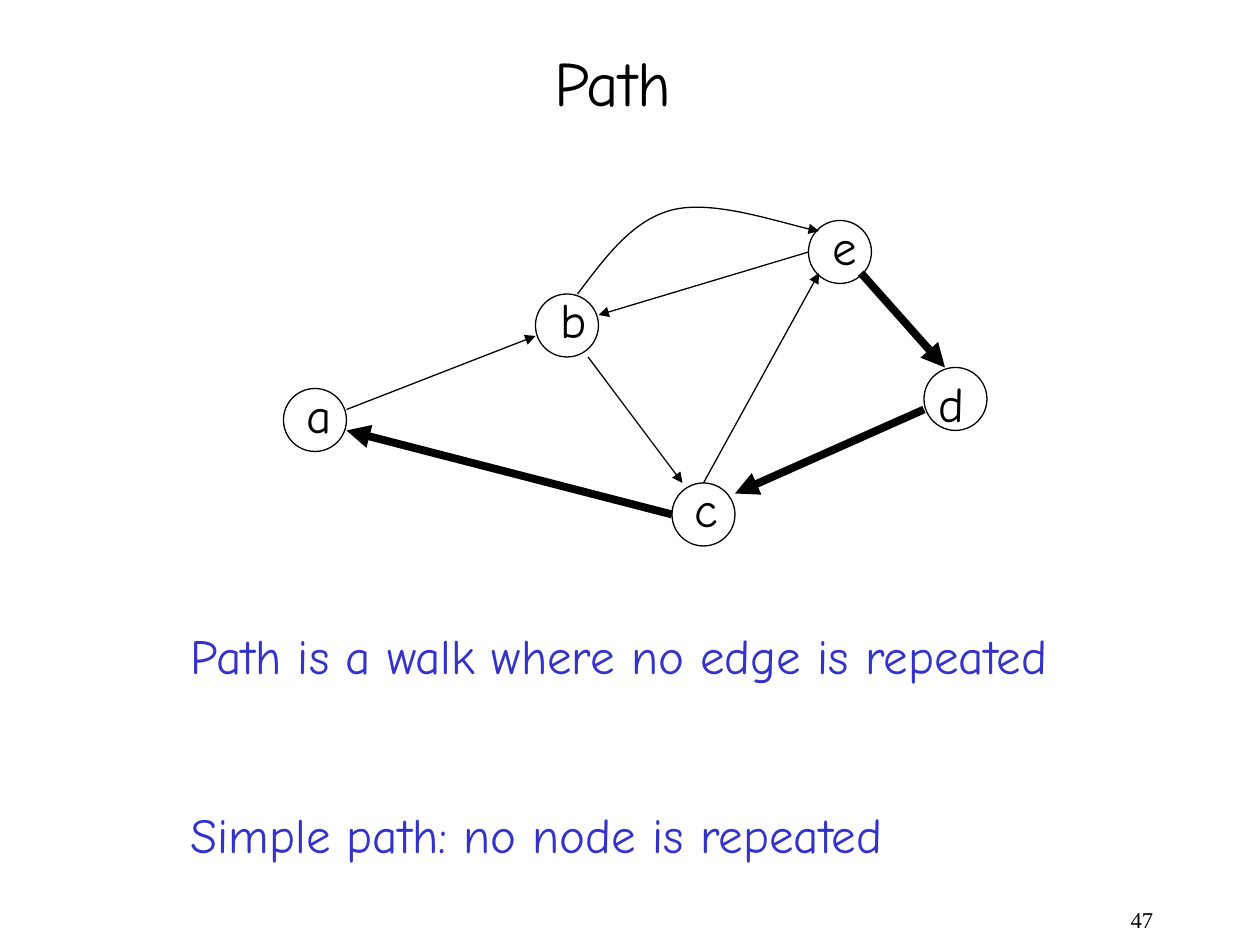
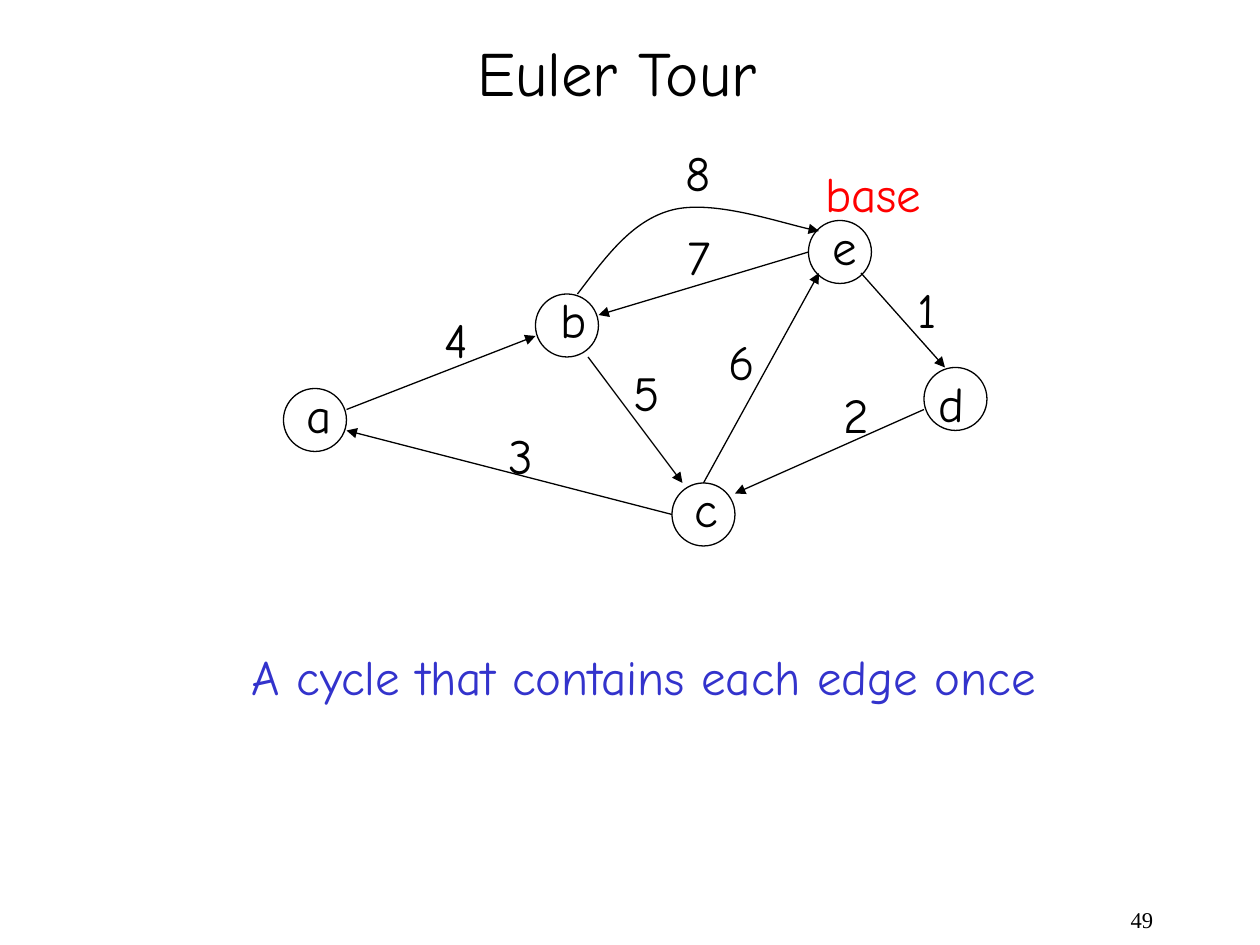
from pptx import Presentation
from pptx.dml.color import RGBColor as RGB
from pptx.enum.shapes import MSO_CONNECTOR as Link, MSO_SHAPE as Form
from pptx.enum.text import MSO_AUTO_SIZE as Fit, PP_ALIGN as Align
from pptx.oxml.ns import qn
from pptx.util import Pt
from lxml.etree import SubElement as add_node

INK = {"black": "000000", "blue": "3333CC", "red": "FF0000"}
HAND, SERIF = "Comic Neue", "Times New Roman"
THIN, THICK = 0.75, 4.5
SIZE = 36  # node diameter

# Node: left, top of the circle, then left, top, width of its letter
NODES = {
    "a": (162, 222, 168, 216, 28.8),
    "b": (306, 168, 313.2, 162, 29.5),
    "c": (384, 276, 390, 270, 27.4),
    "d": (528, 210, 529.2, 210, 28.8),
    "e": (462, 126, 468.7, 120, 28.1),
}
# Straight edges: start x, y, end x, y
EDGES = {
    "ab": (198, 234, 306, 192),
    "bc": (336, 204, 390, 276),
    "ce": (402, 276, 468, 156),
    "dc": (528, 234, 420, 282),
    "ca": (384, 294, 198, 246),
    "ed": (492, 156, 540, 210),
    "eb": (462, 144, 342, 180),
}
# Curved edge from b to e: start, then three points per curve
ARC = [(330, 168), (346, 147), (361, 126), (384, 120),
       (407, 114), (451, 129), (468, 132)]
# Order of the edges in the tour: left, top, width
STEPS = {
    "1": (517, 156.2, 25.2),
    "2": (475.2, 216, 28.8),
    "3": (283.7, 239.8, 28.1),
    "4": (247, 173.5, 28.1),
    "5": (355, 203.8, 29.5),
    "6": (409, 185.8, 29.5),
    "7": (385.9, 126, 27.4),
    "8": (384.5, 77.8, 28.8),
}


def add_text(slide, lines, x, y, wide, high=41, size=28, ink="black",
             face=HAND, gap=0, wrap=False):
    box = slide.shapes.add_textbox(Pt(x), Pt(y), Pt(wide), Pt(high))
    frame = box.text_frame
    frame.word_wrap = wrap
    frame.auto_size = Fit.NONE if wrap else Fit.SHAPE_TO_FIT_TEXT
    frame.text = "\n".join(lines)
    for i, para in enumerate(frame.paragraphs):
        if i:
            para.space_before = Pt(gap)
        font = para.font
        font.name, font.size = face, Pt(size)
        font.color.rgb = RGB.from_string(INK[ink])
    return frame


def set_line(shape, width):
    shape.line.color.rgb = RGB.from_string(INK["black"])
    shape.line.width = Pt(width)


def add_head(shape):
    line = shape.line._get_or_add_ln()
    add_node(line, qn("a:tailEnd"), type="triangle")


def add_edge(slide, ends, width):
    edge = slide.shapes.add_connector(Link.STRAIGHT, *map(Pt, ends))
    set_line(edge, width)
    add_head(edge)
    add_node(edge.element.spPr, qn("a:effectLst"))


def add_arc(slide, points):
    start, *rest = points
    pen = slide.shapes.build_freeform(*map(Pt, start))
    pen.add_line_segments([tuple(map(Pt, p)) for p in rest], close=False)
    arc = pen.convert_to_shape()
    # Turn each three line steps into one Bezier curve
    steps = list(arc.element.iter(qn("a:lnTo")))
    for i in range(0, len(steps), 3):
        curve = add_node(steps[i].getparent(), qn("a:cubicBezTo"))
        for step in steps[i:i + 3]:
            curve.append(step[0])
            step.getparent().remove(step)
    arc.fill.background()
    set_line(arc, THIN)
    add_head(arc)
    arc.shadow.inherit = False


def add_ring(slide, x, y):
    ring = slide.shapes.add_shape(Form.OVAL, Pt(x), Pt(y), Pt(SIZE), Pt(SIZE))
    ring.shadow.inherit = False
    ring.fill.background()
    set_line(ring, THIN)


def add_graph(slide, bold=()):
    for name, (x, y, *spot) in NODES.items():
        add_ring(slide, x, y)
        add_text(slide, [name], *spot)
    for name, ends in EDGES.items():
        add_edge(slide, ends, THICK if name in bold else THIN)
    add_arc(slide, ARC)


def add_page(deck, title, x, y, wide, number):
    slide = deck.slides.add_slide(deck.slide_layouts[6])
    foot = add_text(slide, [number], 516, 516, 150, 24, 12.9, face=SERIF, wrap=True)
    foot.paragraphs[0].alignment = Align.RIGHT
    foot.paragraphs[0].line_spacing = 0.9
    add_text(slide, [title], x, y, wide, 50.4, 36)
    return slide


def main():
    deck = Presentation()
    deck.slide_width, deck.slide_height = Pt(720), Pt(540)

    # Path
    page = add_page(deck, "Path", 309.6, 21.6, 82.8, "47")
    add_graph(page, bold=("ed", "dc", "ca"))
    add_text(page, ["Path is a walk where no edge is repeated",
                    "Simple path: no node is repeated"],
             102, 354, 507, 143.3, ink="blue", gap=68.7)

    # Euler tour
    page = add_page(deck, "Euler Tour", 265.7, 15.8, 177.1, "49")
    add_graph(page)
    for step, spot in STEPS.items():
        add_text(page, [step], *spot)
    add_text(page, ["base"], 464.4, 90, 69.1, ink="red")
    add_text(page, ["A cycle that contains each edge once"],
             136.8, 366, 463.7, ink="blue")

    deck.save("out.pptx")


if __name__ == "__main__":
    main()
